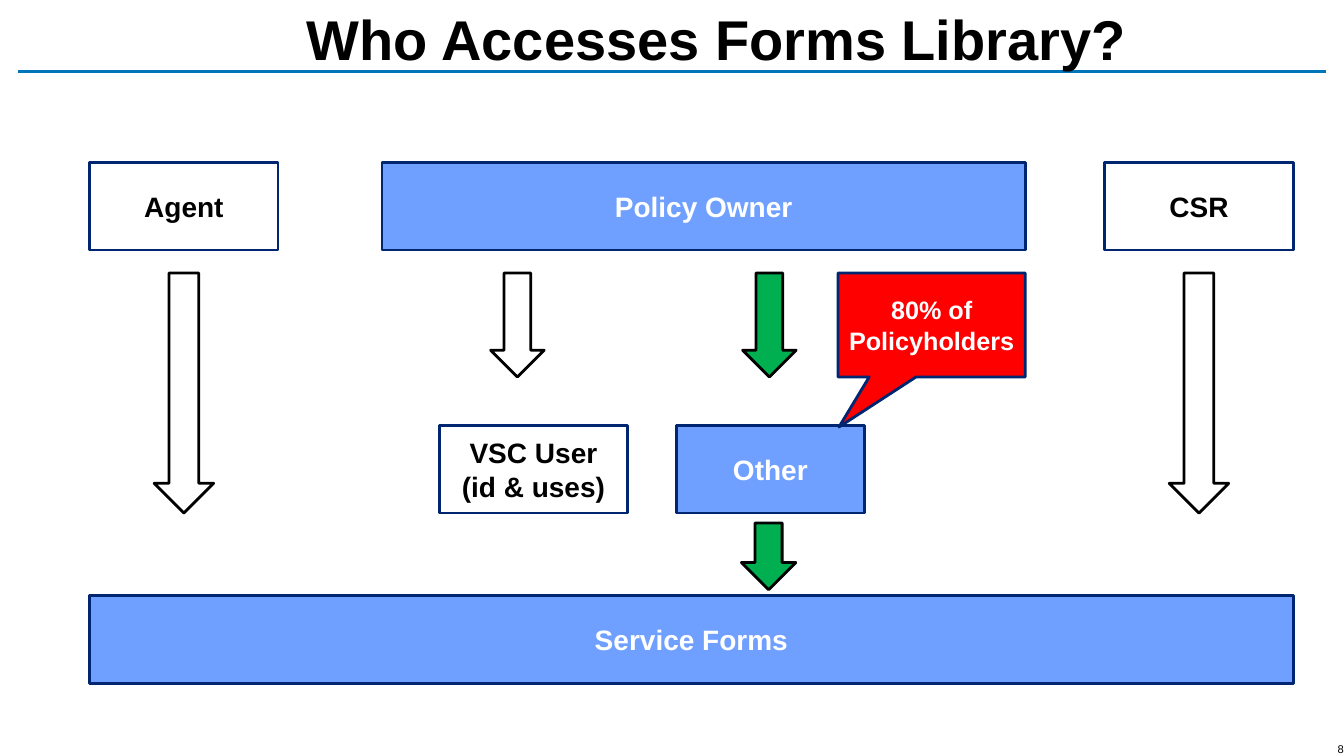
from dataclasses import dataclass

from lxml import etree
from pptx import Presentation
from pptx.dml.color import RGBColor
from pptx.enum.shapes import MSO_CONNECTOR, MSO_SHAPE
from pptx.enum.text import MSO_ANCHOR, PP_ALIGN
from pptx.oxml.ns import qn
from pptx.util import Cm, Pt

RECTANGLE = MSO_SHAPE.RECTANGLE
DOWN_ARROW = MSO_SHAPE.DOWN_ARROW
CALLOUT = MSO_SHAPE.RECTANGULAR_CALLOUT
STRAIGHT = MSO_CONNECTOR.STRAIGHT
TOP, MIDDLE, BOTTOM = MSO_ANCHOR.TOP, MSO_ANCHOR.MIDDLE, MSO_ANCHOR.BOTTOM
CENTER, RIGHT = PP_ALIGN.CENTER, PP_ALIGN.RIGHT


@dataclass(frozen=True)
class Theme:
    font: str = "Arial"
    black: RGBColor = RGBColor(0x00, 0x00, 0x00)
    white: RGBColor = RGBColor(0xFF, 0xFF, 0xFF)
    rule: RGBColor = RGBColor(0x00, 0x75, 0xBA)
    navy: RGBColor = RGBColor(0x00, 0x26, 0x71)
    blue: RGBColor = RGBColor(0x70, 0xA0, 0xFF)
    green: RGBColor = RGBColor(0x00, 0xB0, 0x50)
    red: RGBColor = RGBColor(0xFF, 0x00, 0x00)
    title_size: int = 40
    box_size: int = 20
    callout_size: int = 18
    number_size: int = 8
    rule_width: float = 2.25
    outline_width: float = 2


@dataclass(frozen=True)
class Box:
    """A rectangle in centimetres."""
    left: float
    top: float
    width: float
    height: float

    @property
    def center(self):
        return self.left + self.width / 2

    @property
    def lengths(self):
        return Cm(self.left), Cm(self.top), Cm(self.width), Cm(self.height)


THEME = Theme()
SLIDE = Box(0, 0, 33.87, 19.05)
DIAGRAM = Box(2.26, 4.09, 30.33, 13.13)
BOX_WIDTH, BOX_HEIGHT = 4.75, 2.21
ARROW_DROP = 2.79  # from the top of the diagram to the first arrows
SHORT_ARROW, LONG_ARROW = 2.62, 6.05


def set_text(shape, text, size, color, align=CENTER, anchor=MIDDLE, bold=True):
    frame = shape.text_frame
    frame.text = text
    frame.word_wrap = True
    frame.vertical_anchor = anchor
    for paragraph in frame.paragraphs:
        paragraph.alignment = align
        for run in paragraph.runs:
            run.font.name = THEME.font
            run.font.size = Pt(size)
            run.font.bold = bold
            run.font.color.rgb = color


def add_outlined(slide, kind, box, fill, line):
    """Add a preset shape; a fill of None leaves it hollow."""
    shape = slide.shapes.add_shape(kind, *box.lengths)
    shape.shadow.inherit = False
    if fill is None:
        shape.fill.background()
    else:
        shape.fill.solid()
        shape.fill.fore_color.rgb = fill
    shape.line.color.rgb = line
    shape.line.width = Pt(THEME.outline_width)
    return shape


def add_label(slide, box, text, fill=None):
    shape = add_outlined(slide, RECTANGLE, box, fill, THEME.navy)
    color = THEME.white if fill else THEME.black
    set_text(shape, text, THEME.box_size, color)


def add_arrow(slide, center, top, width, length, fill):
    box = Box(center - width / 2, top, width, length)
    add_outlined(slide, DOWN_ARROW, box, fill, THEME.black)


def add_header(slide, area):
    rule_top, margin = Cm(area.top + 1.8), 0.45
    rule = slide.shapes.add_connector(
        STRAIGHT, Cm(area.left + margin), rule_top,
        Cm(area.left + area.width - margin), rule_top)
    rule.line.color.rgb = THEME.rule
    rule.line.width = Pt(THEME.rule_width)
    etree.SubElement(rule._element.spPr, qn("a:effectLst"))

    title_box = Box(area.left + 7.37, area.top, 21.36, 1.96)
    title = slide.shapes.add_textbox(*title_box.lengths)
    set_text(title, "Who Accesses Forms Library?", THEME.title_size,
             THEME.black, anchor=TOP)


def add_slide_number(slide, area):
    width, height = 1.27, 0.84
    box = Box(area.left + area.width - width, area.top + area.height - height,
              width, height)
    number = slide.shapes.add_textbox(*box.lengths)
    set_text(number, "8", THEME.number_size, THEME.black, RIGHT, BOTTOM, False)
    frame = number.text_frame
    frame.margin_left = frame.margin_right = 0
    frame.margin_top = frame.margin_bottom = 0


def add_side_column(slide, area, text):
    """A reader who goes straight to the service forms."""
    add_label(slide, Box(area.left, area.top, area.width, BOX_HEIGHT), text)
    add_arrow(slide, area.center, area.top + ARROW_DROP, 1.5, LONG_ARROW,
              THEME.white)


def add_policy_owner(slide, area):
    """The owner, split into two kinds of user, with the callout."""
    add_label(slide, Box(area.left, area.top, area.width, BOX_HEIGHT),
              "Policy Owner", THEME.blue)
    arrow_top = area.top + ARROW_DROP
    user_top = area.top + 6.63
    users = (
        (1.44, 3.41, "VSC User\n(id & uses)", None, THEME.white),
        (7.41, 9.76, "Other", THEME.blue, THEME.green),
    )
    for box_offset, arrow_offset, text, fill, arrow_fill in users:
        user_box = Box(area.left + box_offset, user_top, BOX_WIDTH, BOX_HEIGHT)
        add_label(slide, user_box, text, fill)
        add_arrow(slide, area.left + arrow_offset, arrow_top, 1.35,
                  SHORT_ARROW, arrow_fill)
    add_arrow(slide, area.left + 9.74, user_top + 2.46, 1.37, 1.68, THEME.green)

    callout_width = 4.72
    callout_box = Box(area.left + area.width - callout_width, arrow_top,
                      callout_width, SHORT_ARROW)
    callout = add_outlined(slide, CALLOUT, callout_box, THEME.red, THEME.navy)
    callout.adjustments[0] = -0.495
    callout.adjustments[1] = 0.982
    set_text(callout, "80% of Policyholders", THEME.callout_size, THEME.white)
    callout.text_frame.margin_left = callout.text_frame.margin_right = Cm(0.1)


def add_access_diagram(slide, area):
    right = area.left + area.width
    for left, text in ((area.left, "Agent"), (right - BOX_WIDTH, "CSR")):
        add_side_column(slide, Box(left, area.top, BOX_WIDTH, area.height), text)
    add_policy_owner(slide, Box(area.left + 7.37, area.top, 16.21, area.height))
    forms_top = area.top + area.height - BOX_HEIGHT
    add_label(slide, Box(area.left, forms_top, area.width, BOX_HEIGHT),
              "Service Forms", THEME.blue)


def main():
    presentation = Presentation()
    presentation.slide_width = Cm(SLIDE.width)
    presentation.slide_height = Cm(SLIDE.height)
    slide = presentation.slides.add_slide(presentation.slide_layouts[6])
    add_header(slide, SLIDE)
    add_slide_number(slide, SLIDE)
    add_access_diagram(slide, DIAGRAM)
    presentation.save("out.pptx")


if __name__ == "__main__":
    main()
